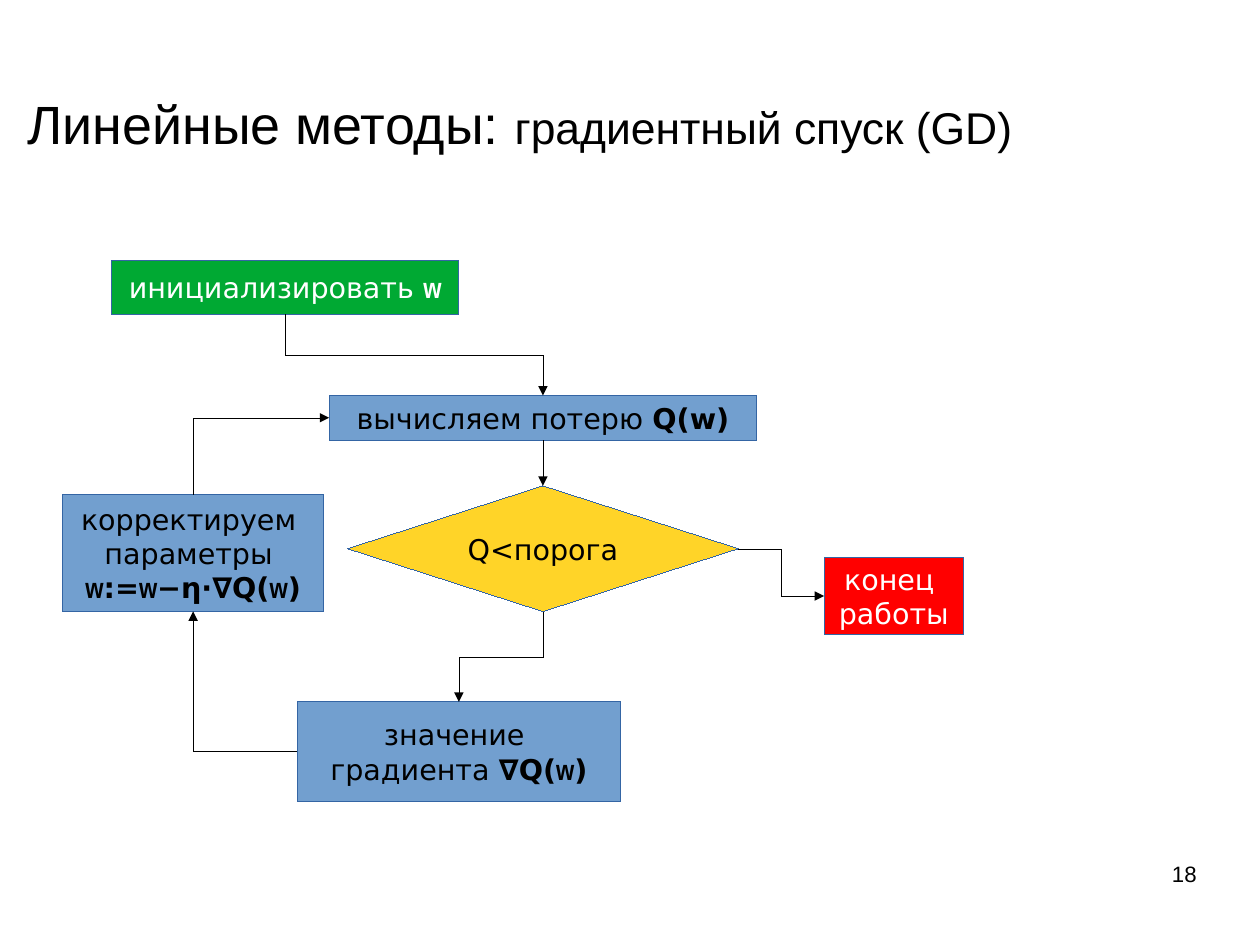
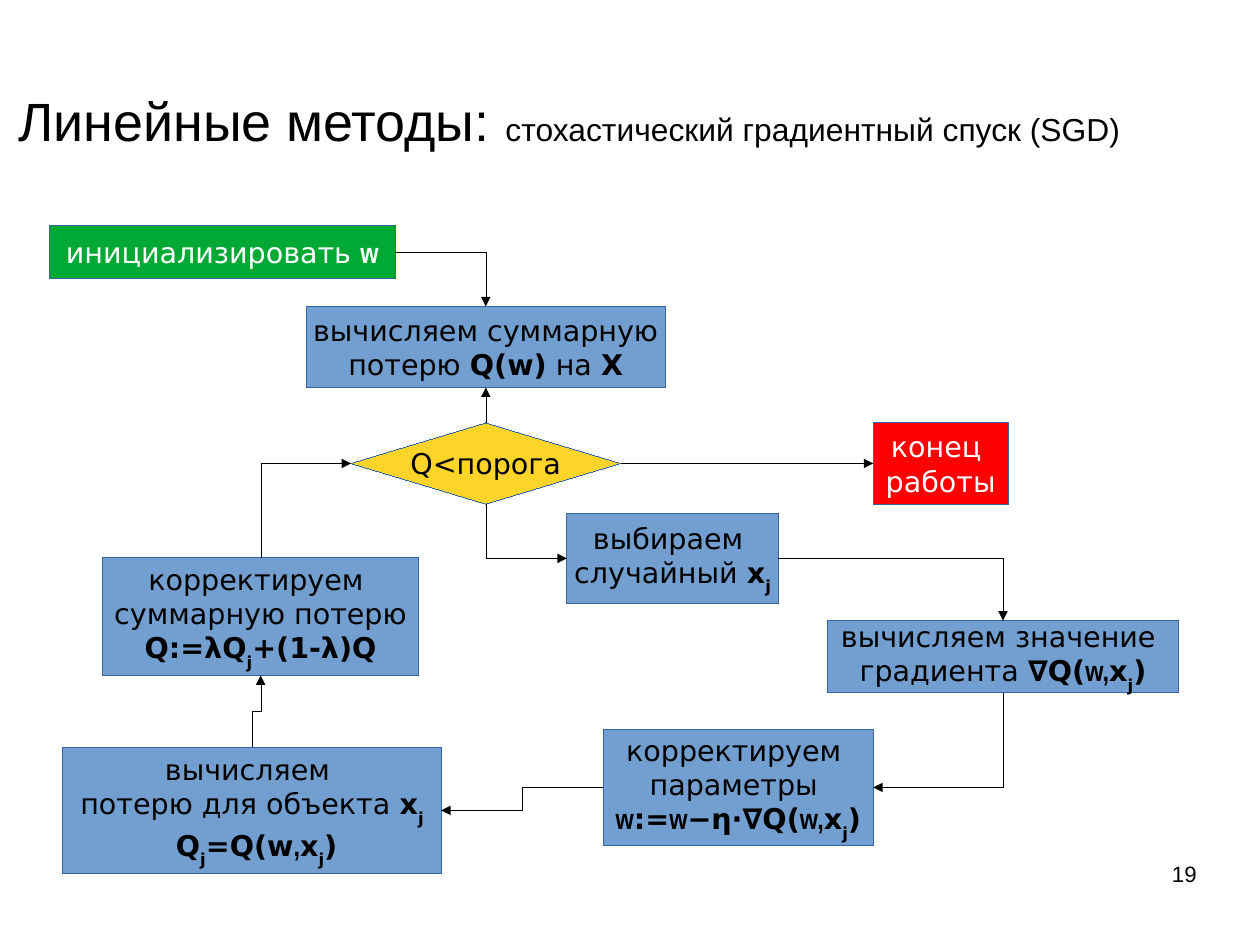
from dataclasses import dataclass

from lxml.etree import SubElement
from pptx import Presentation
from pptx.dml.color import RGBColor as RGB
from pptx.enum.shapes import MSO_CONNECTOR as LINK, MSO_SHAPE as SHAPE
from pptx.enum.text import MSO_ANCHOR as ANCHOR, PP_ALIGN as ALIGN
from pptx.oxml.ns import qn
from pptx.util import Cm, Inches, Pt


@dataclass(frozen=True)
class Theme:
    black: RGB = RGB(0x00, 0x00, 0x00)
    white: RGB = RGB(0xFF, 0xFF, 0xFF)
    start: RGB = RGB(0x00, 0xA9, 0x33)
    step: RGB = RGB(0x72, 0x9F, 0xCF)
    test: RGB = RGB(0xFF, 0xD4, 0x28)
    stop: RGB = RGB(0xFF, 0x00, 0x00)
    edge: RGB = RGB(0x34, 0x65, 0xA4)
    head: str = "Arial"
    body: str = "DejaVu Sans"
    thin: str = "Arial Narrow"
    title: float = 33.9
    label: float = 18
    page: float = 14


T = Theme()

# Kind of box: preset shape, fill, text colour
KINDS = {
    "start": (SHAPE.RECTANGLE, T.start, T.white),
    "step": (SHAPE.RECTANGLE, T.step, T.black),
    "test": (SHAPE.DIAMOND, T.test, T.black),
    "stop": (SHAPE.RECTANGLE, T.stop, T.white),
}
SITES = {"top": 0, "left": 1, "bottom": 2, "right": 3}
UPDOWN = ("top", "bottom")

# Styled runs: b bold, n narrow, s subscript; a bare string is plain
W = ("w", "bn")
WC = ("w,", "bn")
X = ("x", "b")
J = ("j", "bs")
END = (")", "b")
GRAD = ("∇Q(", "b")
RULE = [W, (":=", "b"), W, ("−η⋅∇Q(", "b")]

INIT = [["инициализировать ", W]]
TEST = [["Q<порога"]]
STOP = [["конец "], ["работы"]]
FIX = [["корректируем "], ["параметры "]]

SLIDES = [
    {
        "page": "18",
        "title": ("градиентный спуск (GD)", 28, (0.24, 0.81, 9.69, 0.53)),
        "boxes": {
            "init": ("start", (0.98, 2.28, 3.03, 0.47), INIT),
            "loss": ("step", (2.88, 3.46, 3.74, 0.39),
                     [["вычисляем потерю ", ("Q(w)", "b")]]),
            "test": ("test", (3.04, 4.25, 3.42, 1.1), TEST),
            "stop": ("stop", (7.21, 4.88, 1.22, 0.67), STOP),
            "grad": ("step", (2.6, 6.14, 2.83, 0.87),
                     [["значение "], ["градиента ", GRAD, W, END]]),
            "fix": ("step", (0.55, 4.33, 2.28, 1.02), FIX + [RULE + [W, END]]),
        },
        "links": [
            ("init", "bottom", "loss", "top"),
            ("loss", "bottom", "test", "top"),
            ("test", "right", "stop", "left"),
            ("test", "bottom", "grad", "top"),
            ("grad", "left", "fix", "bottom"),
            ("fix", "top", "loss", "left"),
        ],
    },
    {
        "page": "19",
        "title": ("стохастический градиентный спуск (SGD)", 20,
                  (0.16, 0.66, 9.84, 0.78)),
        "boxes": {
            "init": ("start", (0.43, 1.97, 3.03, 0.47), INIT),
            "loss": ("step", (2.68, 2.68, 3.14, 0.71),
                     [["вычисляем суммарную"],
                      ["потерю ", ("Q(w)", "b"), " на ", ("X", "b")]]),
            "test": ("test", (3.07, 3.7, 2.36, 0.71), TEST),
            "stop": ("stop", (7.64, 3.7, 1.18, 0.71), STOP),
            "pick": ("step", (4.96, 4.49, 1.85, 0.79),
                     [["выбираем "], ["случайный ", X, J]]),
            "grad": ("step", (7.24, 5.43, 3.07, 0.63),
                     [["вычисляем значение "],
                      ["градиента ", GRAD, WC, X, J, END]]),
            "fix": ("step", (5.28, 6.38, 2.36, 1.02),
                    FIX + [RULE + [WC, X, J, END]]),
            "part": ("step", (0.55, 6.54, 3.31, 1.1),
                     [["вычисляем "], ["потерю для объекта ", X, J],
                      [" ", ("Q", "b"), J, ("=Q(w", "b"), (",", "bn"),
                       X, J, END]]),
            "sum": ("step", (0.9, 4.88, 2.76, 1.03),
                    [["корректируем "], ["суммарную потерю"],
                     [("Q:=λQ", "b"), J, ("+(1-λ)Q", "b")]]),
        },
        "links": [
            ("init", "right", "loss", "top"),
            ("test", "top", "loss", "bottom"),
            ("test", "right", "stop", "left"),
            ("test", "bottom", "pick", "left"),
            ("pick", "right", "grad", "top"),
            ("grad", "bottom", "fix", "right"),
            ("fix", "left", "part", "right"),
            ("part", "top", "sum", "bottom"),
            ("sum", "top", "test", "left"),
        ],
    },
]


def write(frame, lines, face, size, color, align):
    for i, line in enumerate(lines):
        para = frame.add_paragraph() if i else frame.paragraphs[0]
        para.alignment = align
        font = para.font
        font.name, font.size, font.color.rgb = face, Pt(size), color
        for part in line:
            text, style = (part, "") if isinstance(part, str) else part
            run = para.add_run()
            run.text = text
            if "b" in style:
                run.font.bold = True
            if "n" in style:
                run.font.name = T.thin
            if "s" in style:
                run._r.get_or_add_rPr().set("baseline", "-33000")


def join(slide, a, out, b, into):
    """Glue an arrow from one side of box a to one side of box b."""
    link = slide.shapes.add_connector(LINK.ELBOW, 0, 0, 0, 0)
    link.begin_connect(a, SITES[out])
    link.end_connect(b, SITES[into])
    x1, y1, x2, y2 = link.begin_x, link.begin_y, link.end_x, link.end_y
    props = link._element.spPr
    geom = props.find(qn("a:prstGeom"))
    if min(abs(x2 - x1), abs(y2 - y1)) < Inches(0.02):
        geom.set("prst", "straightConnector1")
    else:
        if (out in UPDOWN) != (into in UPDOWN):
            geom.set("prst", "bentConnector2")
        if out in UPDOWN:
            # An elbow leaves sideways, so lay it out turned back by 90 degrees
            cx, cy = (x1 + x2) // 2, (y1 + y2) // 2
            link.begin_x, link.begin_y = cx + y1 - cy, cy - x1 + cx
            link.end_x, link.end_y = cx + y2 - cy, cy - x2 + cx
            props.find(qn("a:xfrm")).set("rot", "5400000")
    link.line.color.rgb = T.black
    edge = link.line._get_or_add_ln()
    edge.set("w", "0")  # hairline; a width of Pt(0) would not be stored
    SubElement(edge, qn("a:tailEnd"), type="triangle")
    SubElement(props, qn("a:effectLst"))


deck = Presentation()
deck.slide_width, deck.slide_height = Cm(28), Cm(21)

for data in SLIDES:
    slide = deck.slides.add_slide(deck.slide_layouts[6])

    sub, size, spot = data["title"]
    texts = [
        (spot, ["Линейные методы: ", sub], T.title, ALIGN.LEFT, ANCHOR.MIDDLE),
        ((7.9, 7.53, 2.57, 0.57), [data["page"]], T.page, ALIGN.RIGHT,
         ANCHOR.TOP),
    ]
    frames = []
    for spot, line, points, align, anchor in texts:
        frame = slide.shapes.add_textbox(*map(Inches, spot)).text_frame
        frame.word_wrap = True
        frame.vertical_anchor = anchor
        frame.margin_left = frame.margin_right = 0
        frame.margin_top = frame.margin_bottom = 0
        write(frame, [line], T.head, points, T.black, align)
        frames.append(frame)
    frames[0].paragraphs[0].runs[1].font.size = Pt(size)

    boxes = {}
    for name, (kind, spot, lines) in data["boxes"].items():
        form, fill, ink = KINDS[kind]
        box = slide.shapes.add_shape(form, *map(Inches, spot))
        box.shadow.inherit = False
        box.fill.solid()
        box.fill.fore_color.rgb = fill
        box.line.color.rgb = T.edge
        box.line._get_or_add_ln().set("w", "0")
        frame = box.text_frame
        frame.word_wrap = False
        frame.vertical_anchor = ANCHOR.MIDDLE
        write(frame, lines, T.body, T.label, ink, ALIGN.CENTER)
        boxes[name] = box

    for a, out, b, into in data["links"]:
        join(slide, boxes[a], out, boxes[b], into)

deck.save("out.pptx")
